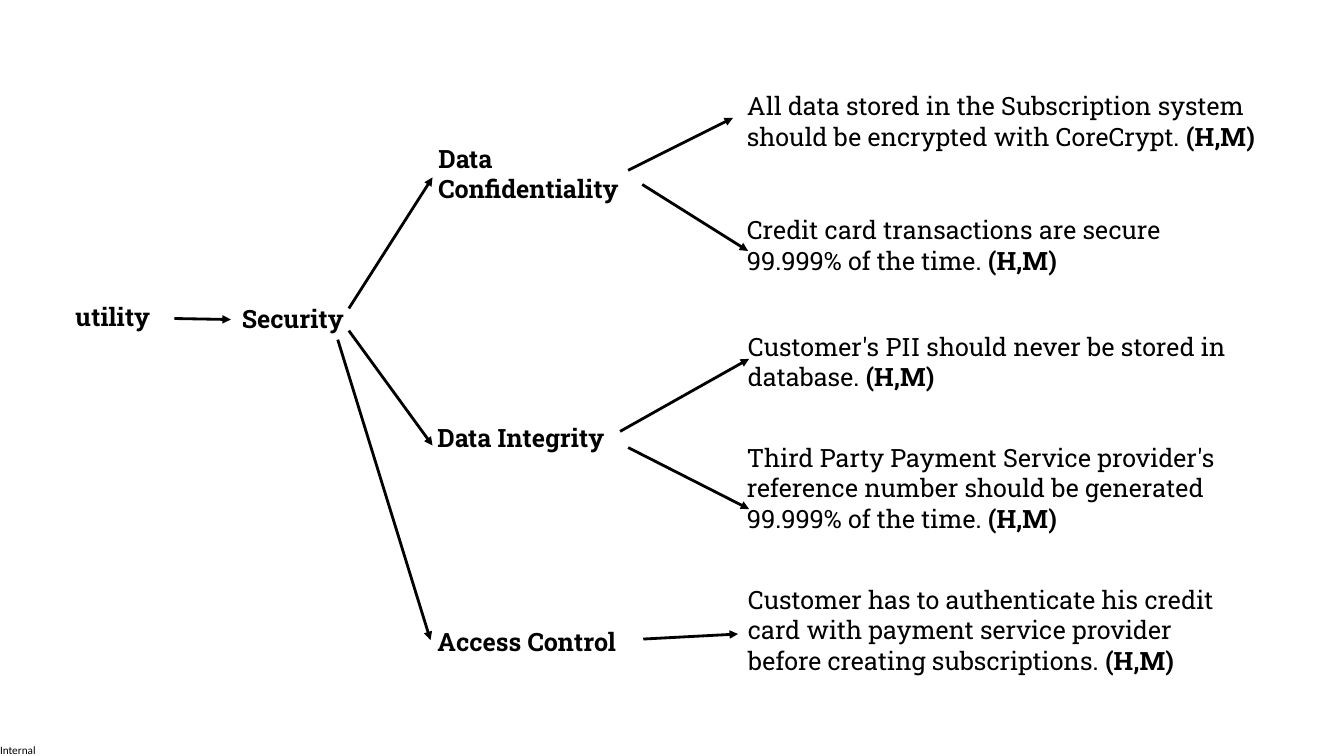
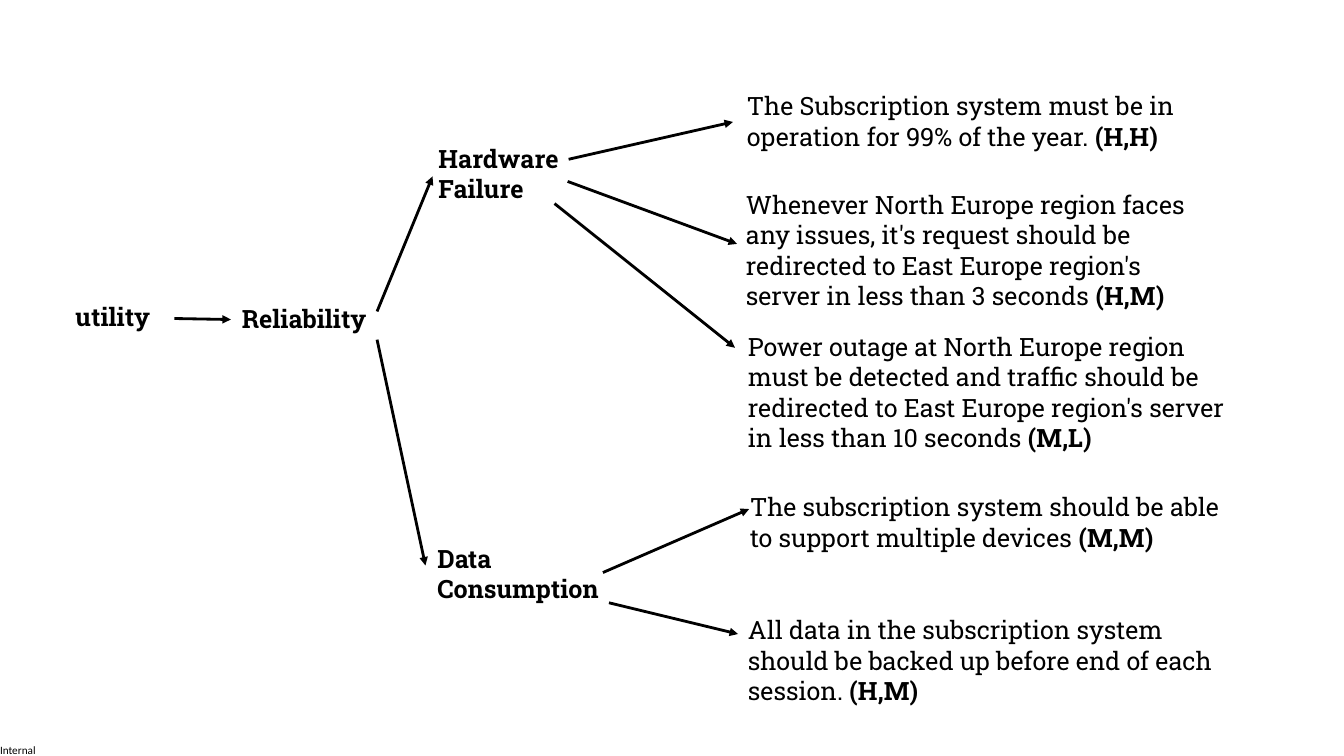
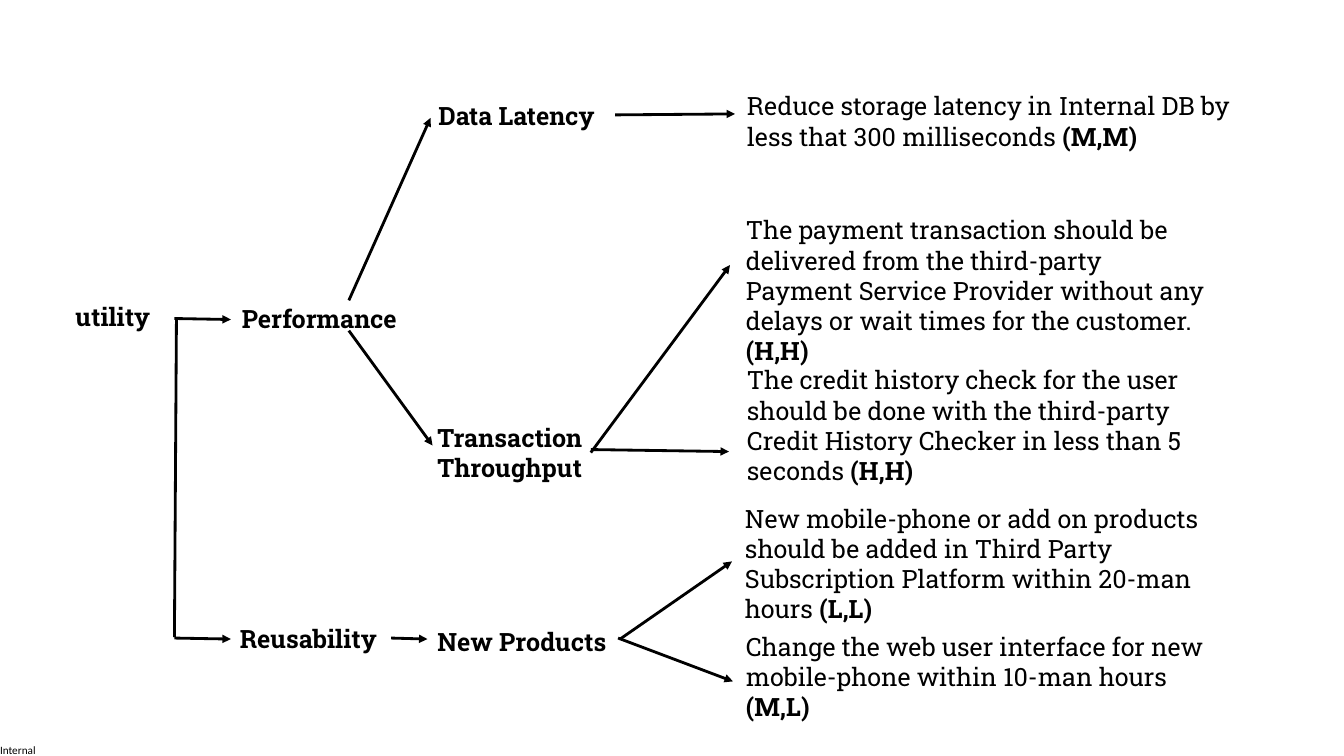
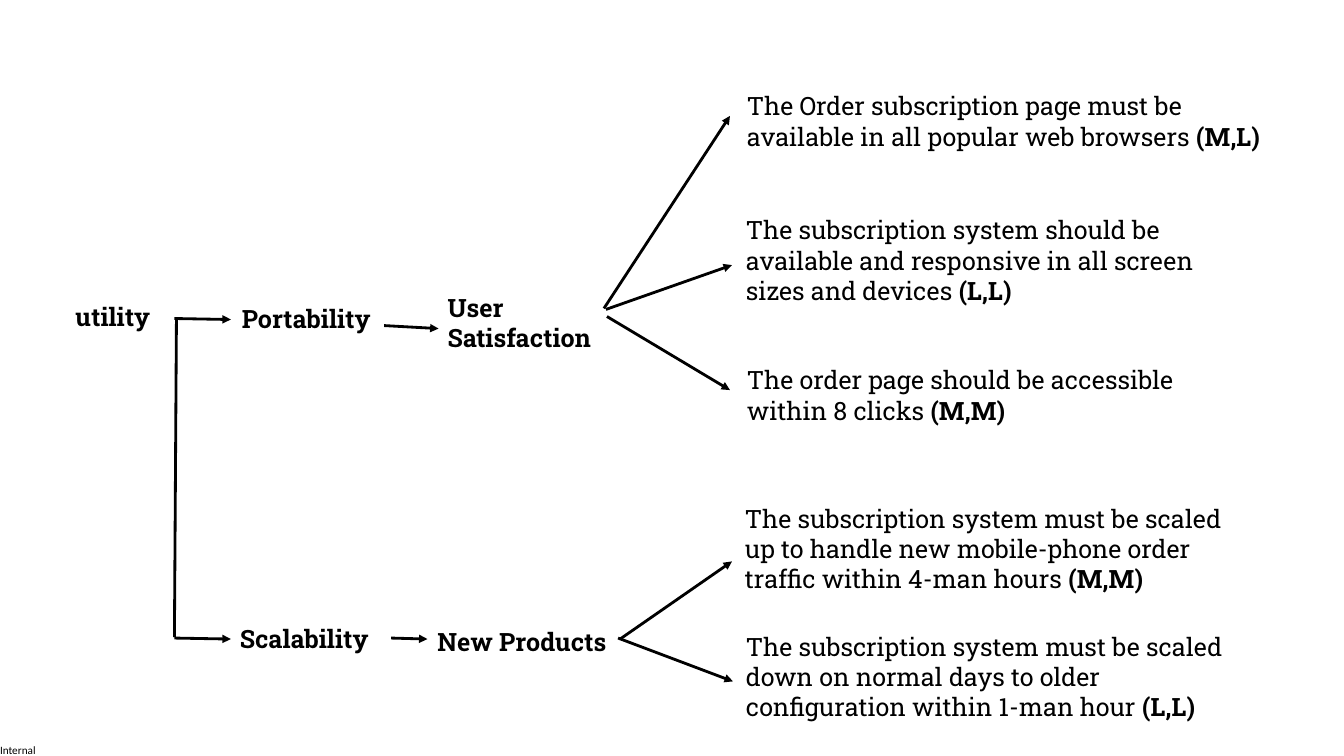
"""Build four utility tree slides of quality attributes, refinements and scenarios."""
from lxml.etree import SubElement
from pptx import Presentation
from pptx.dml.color import RGBColor
from pptx.enum.shapes import MSO_CONNECTOR as Connector
from pptx.enum.text import MSO_AUTO_SIZE as AutoSize
from pptx.oxml.ns import qn
from pptx.util import Emu, Pt

PX = 9144
COLORS = {"ink": "000000"}
TREE_FONT, FOOTER_FONT = "Roboto Slab", "Calibri"
LINE_HEIGHT, INSET = 30, 5
QUALITY_WIDTH, REFINEMENT_WIDTH = 194, 275
SCENARIO_WIDTHS = (537, 484, 502, 495, 496)


def px(length):
    return Emu(length * PX)


class UtilityTree:
    def __init__(self):
        self.deck = Presentation()
        self.deck.slide_width, self.deck.slide_height = px(1333), px(750)
        self.ink = RGBColor.from_string(COLORS["ink"])

    def start(self, quality):
        self.slide = self.deck.slides.add_slide(self.deck.slide_layouts[6])
        self.footer("Internal")
        self.label(65, 294, 136, "utility")
        self.label(230, 296, QUALITY_WIDTH, quality)
        self.arrows((173, 316, 229, 317))

    def box(self, left, top, width, height):
        area = self.slide.shapes.add_textbox(px(left), px(top), px(width), px(height))
        area.text_frame.auto_size = AutoSize.SHAPE_TO_FIT_TEXT
        return area.text_frame

    def style(self, paragraph, name, size):
        paragraph.font.name = name
        paragraph.font.size = Pt(size)
        paragraph.font.color.rgb = self.ink

    def footer(self, text):
        frame = self.box(0, 737, 38, 13)
        frame.word_wrap = False
        frame.margin_left = frame.margin_right = 0
        frame.margin_top = frame.margin_bottom = 0
        frame.text = text
        self.style(frame.paragraphs[0], FOOTER_FONT, 8)

    def tree_box(self, left, top, width, lines):
        frame = self.box(left, top, width, 2 * INSET + LINE_HEIGHT * lines)
        frame.word_wrap = True
        return frame

    def label(self, left, top, width, text, lines=1):
        frame = self.tree_box(left, top, width, lines)
        frame.text = text
        for paragraph in frame.paragraphs:
            self.style(paragraph, TREE_FONT, 18)
            paragraph.font.bold = True

    def refinement(self, left, top, text, lines=1):
        self.label(left, top, REFINEMENT_WIDTH, text, lines)

    def scenarios(self, *rows):
        for width, (left, top, lines, text, rating) in zip(SCENARIO_WIDTHS, rows):
            paragraph = self.tree_box(left, top, width, lines).paragraphs[0]
            self.style(paragraph, TREE_FONT, 18)
            paragraph.add_run().text = f"{text} "
            score = paragraph.add_run()
            score.text = f"({rating})"
            score.font.bold = True

    def line(self, x1, y1, x2, y2):
        link = self.slide.shapes.add_connector(
            Connector.STRAIGHT, px(x1), px(y1), px(x2), px(y2))
        link.line.color.rgb = self.ink
        link.line.width = Pt(2)
        SubElement(link._element.spPr, qn("a:effectLst"))
        return link

    def arrows(self, *routes):
        for route in routes:
            outline = self.line(*route).line._get_or_add_ln()
            SubElement(outline, qn("a:tailEnd"), type="triangle")

    def second_quality(self, quality):
        self.label(228, 613, QUALITY_WIDTH, quality)
        self.refinement(424, 616, "New Products")
        self.line(175, 316, 173, 632)
        self.arrows(
            (173, 633, 229, 634),
            (388, 633, 424, 634),
            (615, 634, 726, 557),
            (613, 633, 727, 676),
        )


def security(tree):
    tree.start("Security")
    tree.refinement(425, 137, "Data\nConfidentiality", 2)
    tree.refinement(424, 414, "Data Integrity")
    tree.refinement(424, 616, "Access Control")
    tree.scenarios(
        (731, 85, 2, "All data stored in the Subscription system should be encrypted "
                     "with CoreCrypt.", "H,M"),
        (731, 208, 2, "Credit card transactions are secure 99.999% of the time.", "H,M"),
        (732, 324, 2, "Customer's PII should never be stored in database.", "H,M"),
        (731, 434, 3, "Third Party Payment Service provider's reference number should be "
                      "generated 99.999% of the time.", "H,M"),
        (732, 575, 3, "Customer has to authenticate his credit card with payment service "
                      "provider before creating subscriptions.", "H,M"),
    )
    tree.arrows(
        (346, 306, 429, 176),
        (346, 328, 429, 442),
        (335, 337, 427, 635),
        (623, 169, 727, 117),
        (637, 183, 742, 249),
        (615, 428, 743, 356),
        (623, 444, 743, 505),
        (638, 634, 732, 629),
    )


def reliability(tree):
    tree.start("Reliability")
    tree.refinement(425, 137, "Hardware\nFailure", 2)
    tree.refinement(424, 534, "Data\nConsumption", 2)
    tree.scenarios(
        (731, 85, 2, "The Subscription system must be in operation for 99% of the year.",
         "H,H"),
        (730, 183, 4, "Whenever North Europe region faces any issues, it's request should "
                      "be redirected to East Europe region's server in less than 3 seconds",
         "H,M"),
        (732, 324, 4, "Power outage at North Europe region must be detected and traffic "
                      "should be redirected to East Europe region's server in less than "
                      "10 seconds", "M,L"),
        (734, 483, 2, "The subscription system should be able to support multiple devices",
         "M,M"),
        (732, 605, 3, "All data in the subscription system should be backed up before end "
                      "of each session.", "H,M"),
    )
    tree.arrows(
        (374, 309, 429, 175),
        (374, 337, 422, 561),
        (564, 158, 727, 121),
        (563, 180, 731, 242),
        (550, 202, 729, 345),
        (598, 568, 743, 505),
        (604, 598, 732, 629),
    )


def performance(tree):
    tree.start("Performance")
    tree.refinement(425, 95, "Data Latency")
    tree.refinement(424, 414, "Transaction Throughput", 2)
    tree.scenarios(
        (731, 85, 2, "Reduce storage latency in Internal DB by less that 300 milliseconds",
         "M,M"),
        (730, 208, 5, "The payment transaction should be delivered from the third-party "
                      "Payment Service Provider without any delays or wait times for the "
                      "customer.", "H,H"),
        (731, 357, 4, "The credit history check for the user should be done with the "
                      "third-party Credit History Checker in less than 5 seconds", "H,H"),
        (729, 494, 4, "New mobile-phone or add on products should be added in Third Party "
                      "Subscription Platform within 20-man hours", "L,L"),
        (730, 621, 3, "Change the web user interface for new mobile-phone within 10-man "
                      "hours", "M,L"),
    )
    tree.arrows(
        (346, 298, 427, 117),
        (346, 328, 429, 442),
        (610, 114, 729, 113),
        (586, 449, 724, 263),
        (586, 446, 723, 448),
    )
    tree.second_quality("Reusability")


def portability(tree):
    tree.start("Portability")
    tree.refinement(434, 285, "User\nSatisfaction", 2)
    tree.scenarios(
        (731, 85, 2, "The Order subscription page must be available in all popular web "
                     "browsers", "M,L"),
        (730, 208, 3, "The subscription system should be available and responsive in all "
                      "screen sizes and devices", "L,L"),
        (731, 357, 2, "The order page should be accessible within 8 clicks", "M,M"),
        (729, 494, 3, "The subscription system must be scaled up to handle new "
                      "mobile-phone order traffic within 4-man hours", "M,M"),
        (730, 621, 3, "The subscription system must be scaled down on normal days to older "
                      "configuration within 1-man hour", "L,L"),
    )
    tree.arrows(
        (381, 323, 435, 326),
        (599, 306, 724, 115),
        (601, 307, 726, 263),
        (602, 314, 724, 387),
    )
    tree.second_quality("Scalability")


def main():
    tree = UtilityTree()
    for draw in (security, reliability, performance, portability):
        draw(tree)
    tree.deck.save("out.pptx")


if __name__ == "__main__":
    main()
